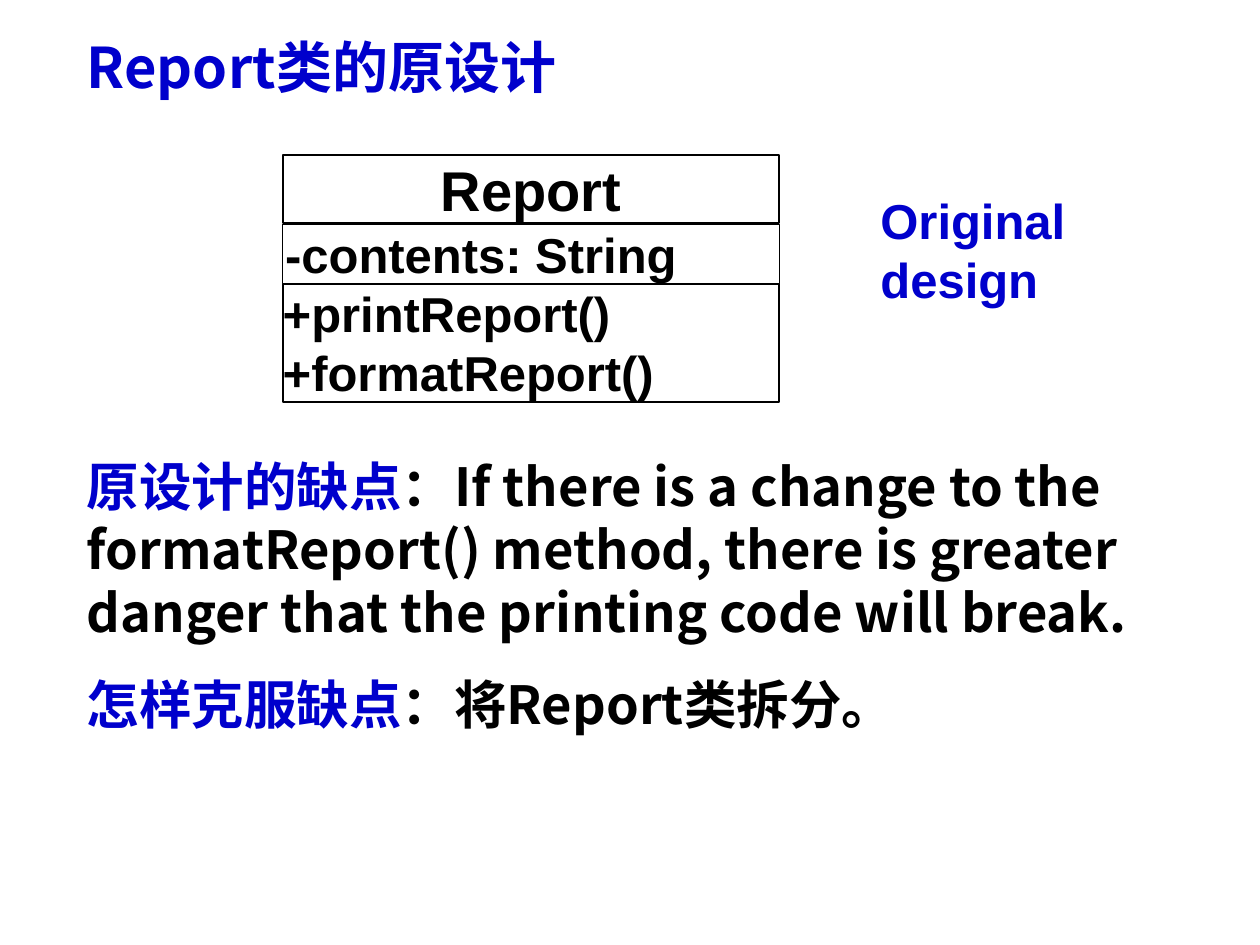
"""Build the slide on the first design of the Report class and its weakness."""
from lxml.etree import SubElement
from pptx import Presentation
from pptx.dml.color import RGBColor
from pptx.enum.shapes import MSO_SHAPE
from pptx.enum.text import MSO_ANCHOR as Anchor, PP_ALIGN as Align
from pptx.oxml.ns import qn
from pptx.util import Cm, Pt

BLACK = RGBColor(0x00, 0x00, 0x00)
BLUE = RGBColor(0x00, 0x00, 0xCC)
WHITE = RGBColor(0xFF, 0xFF, 0xFF)
LATIN = "Arial"
CHINESE = "Noto Sans CJK SC"


def write(frame, *paragraphs, size=28, font=LATIN, align=Align.LEFT,
          anchor=Anchor.TOP, insets=(0.25, 0.13, 0.25, 0.13)):
    frame.word_wrap = True
    frame.vertical_anchor = anchor
    (frame.margin_left, frame.margin_top,
     frame.margin_right, frame.margin_bottom) = map(Cm, insets)
    for index, pieces in enumerate(paragraphs):
        line = frame.add_paragraph() if index else frame.paragraphs[0]
        line.alignment = align
        for words, color in pieces:
            run = line.add_run()
            run.text = words
            run.font.size = Pt(size)
            run.font.bold = True
            run.font.name = font
            run.font.color.rgb = color
            SubElement(run.font._element, qn("a:ea"), typeface=font)


class ReportSlide:
    def __init__(self, deck):
        self.shapes = deck.slides.add_slide(deck.slide_layouts[6]).shapes

    def label(self, left, top, width, height, *pieces, **style):
        box = self.shapes.add_textbox(Cm(left), Cm(top), Cm(width), Cm(height))
        write(box.text_frame, pieces, **style)

    def chinese_label(self, top, width, height, *pieces, size=30):
        self.label(1.5, top, width, height, *pieces, size=size, font=CHINESE)

    def compartment(self, top, height, *members, border=1, **style):
        area = self.shapes.add_shape(
            MSO_SHAPE.RECTANGLE, Cm(5.7), Cm(top), Cm(10.01), Cm(height))
        area.shadow.inherit = False
        area.fill.solid()
        area.fill.fore_color.rgb = WHITE
        area.line.color.rgb = BLACK
        area.line.width = Pt(border)
        write(area.text_frame, *[[(member, BLACK)] for member in members], **style)


def main():
    deck = Presentation()
    deck.slide_width, deck.slide_height = Cm(25.4), Cm(19.05)
    slide = ReportSlide(deck)
    flush = {"anchor": Anchor.MIDDLE, "insets": (0, 0, 0, 0)}

    slide.chinese_label(0.53, 12.6, 1.63, ("Report类的原设计", BLUE), size=32)
    slide.compartment(3.12, 1.38, "Report", size=32, align=Align.CENTER, **flush)
    slide.compartment(5.72, 2.38, "+printReport()", "+formatReport()", **flush)
    slide.compartment(4.52, 1.2, "-contents: String", border=0.75,
                      insets=(0.05, 0, 0.25, 0))
    slide.label(17.5, 3.71, 4.39, 2.62, ("Original design", BLUE))
    slide.chinese_label(
        9.02, 23.01, 4.11, ("原设计的缺点", BLUE),
        ("：If there is a change to the formatReport() method, there is greater "
         "danger that the printing code will break.", BLACK))
    slide.chinese_label(13.41, 15.75, 1.55, ("怎样克服缺点", BLUE),
                        ("：将Report类拆分。", BLACK))
    deck.save("out.pptx")


if __name__ == "__main__":
    main()
